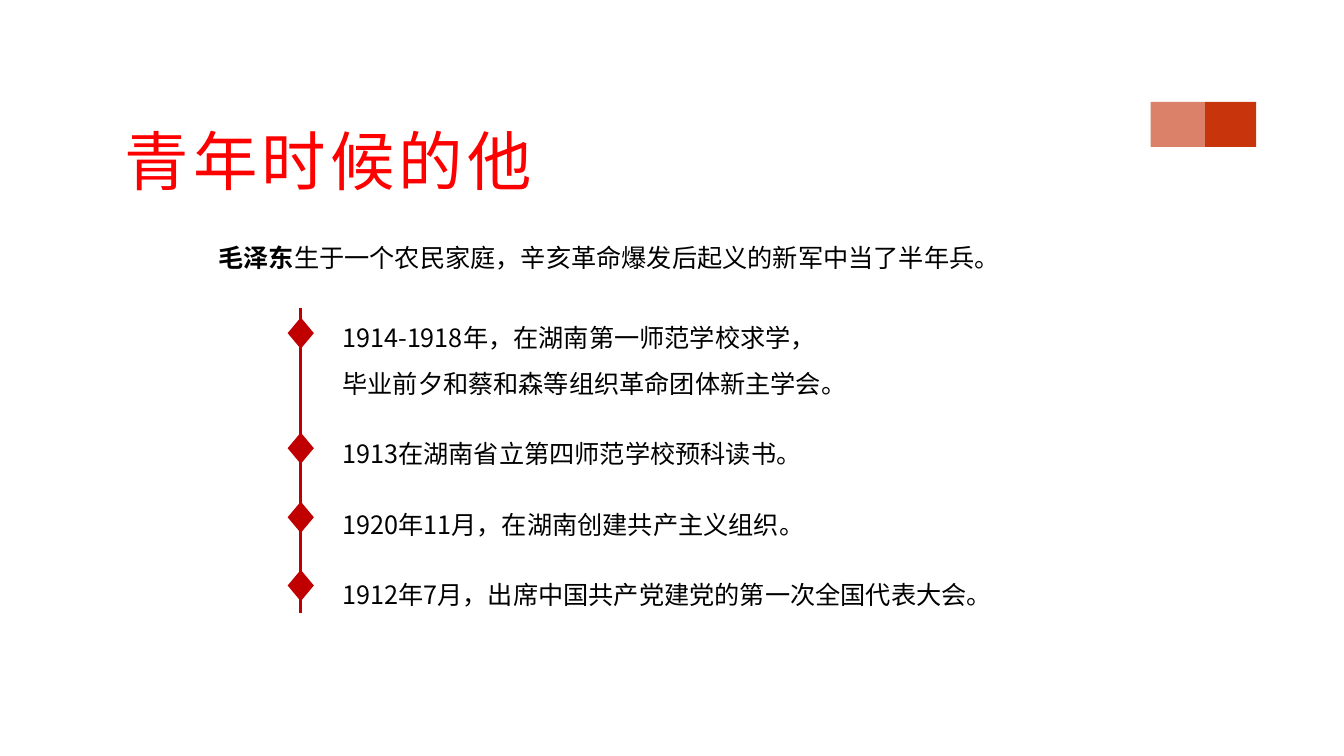
"""Build the slide on his youth: a title, an introduction and a timeline."""
from lxml import etree
from pptx import Presentation
from pptx import util as u
from pptx.dml.color import RGBColor
from pptx.enum import shapes, text
from pptx.oxml.ns import qn

FONT = "Noto Sans CJK SC"
BLACK, RED, DARK_RED, ORANGE = "000000", "FF0000", "C00000", "C8350D"

EVENTS = [
    (8.0, ["1914-1918年，在湖南第一师范学校求学，",
           "毕业前夕和蔡和森等组织革命团体新主学会。"]),
    (10.9, ["1913在湖南省立第四师范学校预科读书。"]),
    (12.64, ["1920年11月，在湖南创建共产主义组织。"]),
    (14.36, ["1912年7月，出席中国共产党建党的第一次全国代表大会。"]),
]


def paint(color_format, color):
    color_format.rgb = RGBColor.from_string(color)


def add_block(slide, kind, left, top, width, height, color, alpha=None):
    block = slide.shapes.add_shape(
        kind, u.Cm(left), u.Cm(top), u.Cm(width), u.Cm(height))
    block.shadow.inherit = False
    block.fill.solid()
    paint(block.fill.fore_color, color)
    block.line.fill.background()
    if alpha is not None:
        tone = block.fill._xPr.find(".//" + qn("a:srgbClr"))
        etree.SubElement(tone, qn("a:alpha"), val=str(alpha * 1000))


def add_axis(slide, x, top, bottom):
    axis = slide.shapes.add_connector(
        shapes.MSO_CONNECTOR.STRAIGHT, u.Cm(x), u.Cm(top), u.Cm(x), u.Cm(bottom))
    paint(axis.line.color, DARK_RED)
    axis.line.width = u.Pt(2.25)
    etree.SubElement(axis._element.spPr, qn("a:effectLst"))


def add_frame(slide, left, top, width, height, wrap=True):
    frame = slide.shapes.add_textbox(
        u.Cm(left), u.Cm(top), u.Cm(width), u.Cm(height)).text_frame
    frame.word_wrap = wrap
    return frame


def write(paragraph, words, size=18, color=BLACK, bold=False, spacing=None):
    run = paragraph.add_run()
    run.text = words
    run.font.size = u.Pt(size)
    run.font.bold = bold
    run.font.name = FONT
    paint(run.font.color, color)
    properties = run.font._element
    etree.SubElement(properties, qn("a:ea"), typeface=FONT)
    if spacing is not None:
        properties.set("spc", str(spacing * 100))


def add_timeline(slide, x):
    add_axis(slide, x, 7.75, 15.44)
    story = add_frame(slide, 8.38, 7.59, 24.71, 7.95)
    paragraph = story.paragraphs[0]
    for number, (marker_top, lines) in enumerate(EVENTS):
        add_block(slide, shapes.MSO_SHAPE.DIAMOND,
                  x - 0.33, marker_top, 0.66, 0.79, DARK_RED)
        for index, line in enumerate(lines):
            if number or index:
                paragraph = story.add_paragraph()
            paragraph.alignment = text.PP_ALIGN.JUSTIFY
            paragraph.line_spacing = u.Pt(33)
            if number and index == 0:
                paragraph.space_before = u.Pt(17.3)
            write(paragraph, line)


def main():
    deck = Presentation()
    deck.slide_width, deck.slide_height = u.Cm(33.87), u.Cm(19.05)
    slide = deck.slides.add_slide(deck.slide_layouts[6])

    add_block(slide, shapes.MSO_SHAPE.RECTANGLE, 30.36, 2.57, 1.3, 1.13, ORANGE)
    add_block(slide, shapes.MSO_SHAPE.RECTANGLE, 29, 2.57, 1.36, 1.13, ORANGE, alpha=62)

    title = add_frame(slide, 2.9, 2.92, 14.17, 2.24).paragraphs[0]
    write(title, "青年时候的他", size=46, color=RED, spacing=3)

    introduction = add_frame(slide, 5.26, 5.97, 20.4, 1.8, wrap=False).paragraphs[0]
    write(introduction, "毛泽东", bold=True)
    write(introduction, "生于一个农民家庭，辛亥革命爆发后起义的新军中当了半年兵。")

    add_timeline(slide, 7.52 + 0.06)
    deck.save("out.pptx")


if __name__ == "__main__":
    main()
